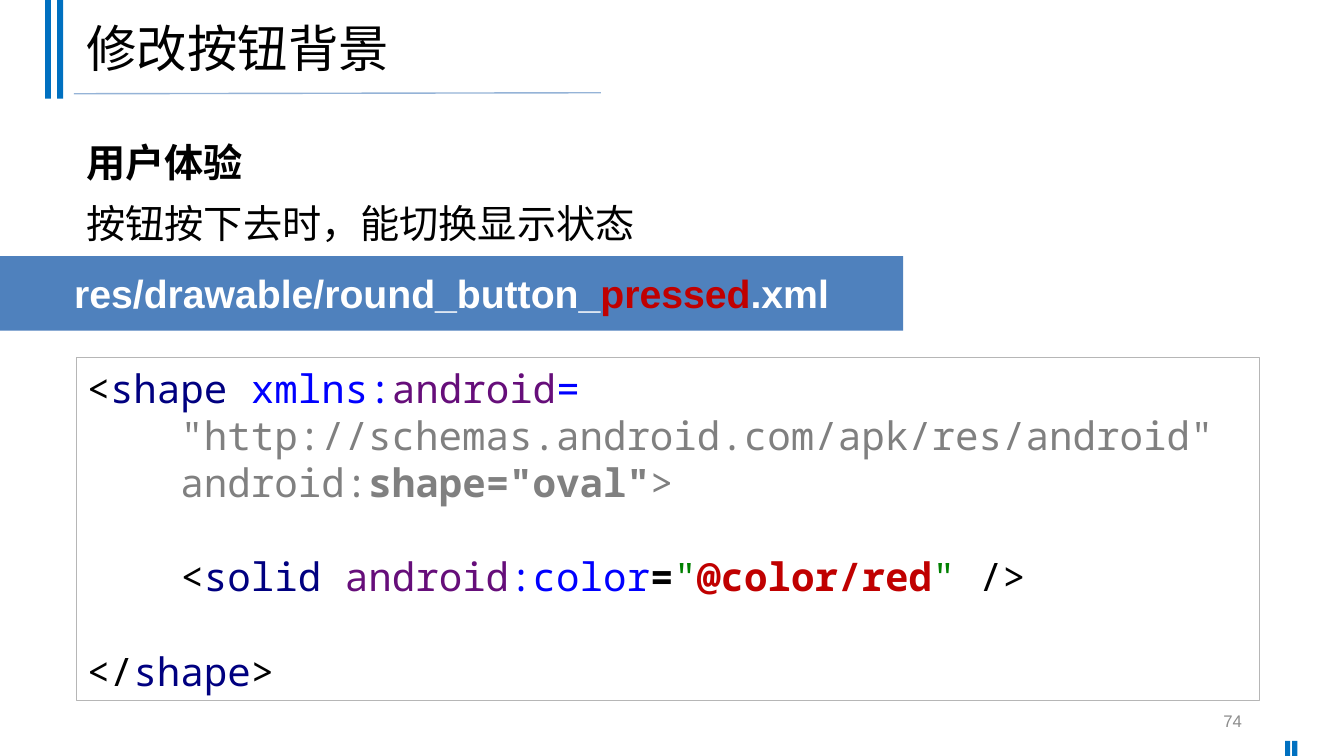
import pptx
import pptx.util
import pptx.dml.color
import pptx.enum.shapes
import pptx.enum.text
import pptx.oxml.ns
import lxml.etree

WIDTH = pptx.util.Inches(13.333)
HEIGHT = pptx.util.Inches(7.5)
ALIGN = pptx.enum.text.PP_ALIGN
ANCHOR = pptx.enum.text.MSO_ANCHOR

BLUE, BAR, BLACK, WHITE, RED = "4F81BD", "0070C0", "000000", "FFFFFF", "C00000"
NAVY, BRIGHT, PURPLE, GRAY, GREEN = "000080", "0000FF", "660E7A", "808080", "008000"

CODE_LINES = [
    (0, [("<", BLACK), ("shape ", NAVY), ("xmlns:", BRIGHT), ("android", PURPLE), ("=", BRIGHT)]),
    (0, [('    "http://schemas.android.com/apk/res/android"', GRAY)]),
    (0, [("    android:", GRAY), ('shape="oval"', GRAY, True), (">", GRAY)]),
    (1, [("    <", BLACK), ("solid ", NAVY), ("android", PURPLE), (":color", BRIGHT),
         ("=", BLACK, True), ('"', GREEN), ("@color/red", RED, True), ('" ', GREEN), ("/>", BLACK)]),
    (1, [("</", BLACK), ("shape", NAVY), (">", BLACK)]),
]


def color(value):
    return pptx.dml.color.RGBColor.from_string(value)


def place(x, y, w, h):
    return [round(share * side / 100) for share, side in
            ((x, WIDTH), (y, HEIGHT), (w, WIDTH), (h, HEIGHT))]


def add_rect(s, box, fill, line=None):
    sp = s.shapes.add_shape(pptx.enum.shapes.MSO_SHAPE.RECTANGLE, *place(*box))
    sp.shadow.inherit = False
    sp.fill.solid()
    sp.fill.fore_color.rgb = color(fill)
    if line:
        sp.line.color.rgb = color(line)
        sp.line.width = pptx.util.Pt(0.75)
    else:
        sp.line.fill.background()
    return sp


def add_rule(s, x1, y1, x2, y2):
    left, top, right, bottom = place(x1, y1, x2, y2)
    line = s.shapes.add_connector(
        pptx.enum.shapes.MSO_CONNECTOR.STRAIGHT, left, top, right, bottom)
    line.line.color.rgb = color("95B3D7")
    line.line.width = pptx.util.Pt(1)
    props = line._element.spPr
    lxml.etree.SubElement(props, pptx.oxml.ns.qn("a:effectLst"))


def add_runs(p, parts, size, font="Arial"):
    for text, fill, *bold in parts:
        r = p.add_run()
        r.text = text
        r.font.name = font
        r.font.size = pptx.util.Pt(size)
        r.font.bold = bool(bold and bold[0])
        r.font.color.rgb = color(fill)


def next_paragraph(tf, index):
    return tf.add_paragraph() if index else tf.paragraphs[0]


def add_text(s, box, lines, spacing=1.0, align=ALIGN.LEFT, anchor=ANCHOR.TOP):
    tf = s.shapes.add_textbox(*place(*box)).text_frame
    tf.word_wrap = True
    tf.vertical_anchor = anchor
    for i, (size, *part) in enumerate(lines):
        p = next_paragraph(tf, i)
        p.line_spacing = spacing
        p.alignment = align
        add_runs(p, [part], size)


def add_banner(s, box, parts):
    tf = add_rect(s, box, BLUE).text_frame
    tf.vertical_anchor = ANCHOR.MIDDLE
    p = tf.paragraphs[0]
    p.alignment = ALIGN.CENTER
    add_runs(p, parts, 28)


def add_code(s, box, lines):
    tf = add_rect(s, box, WHITE, "B6B6B6").text_frame
    tf.word_wrap = True
    tf.vertical_anchor = ANCHOR.MIDDLE
    for i, (gap, parts) in enumerate(lines):
        p = next_paragraph(tf, i)
        p.alignment = ALIGN.LEFT
        if gap:
            p.space_before = pptx.util.Pt(33.7 * gap)
        add_runs(p, parts, 28, "Noto Sans Mono")


def main():
    prs = pptx.Presentation()
    prs.slide_width, prs.slide_height = WIDTH, HEIGHT
    s = prs.slides.add_slide(prs.slide_layouts[6])

    for i in range(2):
        add_rect(s, (3.35 + 0.9 * i, 0, 0.45, 13.07), BAR)
        add_rect(s, (95.62 + 0.53 * i, 98, 0.38, 2), BAR)
    add_rule(s, 5.5, 12.4, 44.7, 12.27)

    add_text(s, (5.7, 0.93, 86.25, 11.73), [(36, "修改按钮背景", BLACK)],
             0.9, anchor=ANCHOR.MIDDLE)
    add_text(s, (5.7, 15.73, 54.07, 18.13),
             [(28, "用户体验", BLACK, True), (28, "按钮按下去时，能切换显示状态", BLACK)], 1.3)
    add_text(s, (70.65, 92.67, 22.5, 5.33), [(12, "74", "8C8C8C")],
             align=ALIGN.RIGHT, anchor=ANCHOR.MIDDLE)
    add_banner(s, (0, 33.87, 67.2, 9.87),
               [("res/drawable/round_button_", WHITE, True), ("pressed", RED, True),
                (".xml", WHITE, True)])
    add_code(s, (5.7, 47.33, 88.05, 45.33), CODE_LINES)
    prs.save("out.pptx")


if __name__ == "__main__":
    main()
